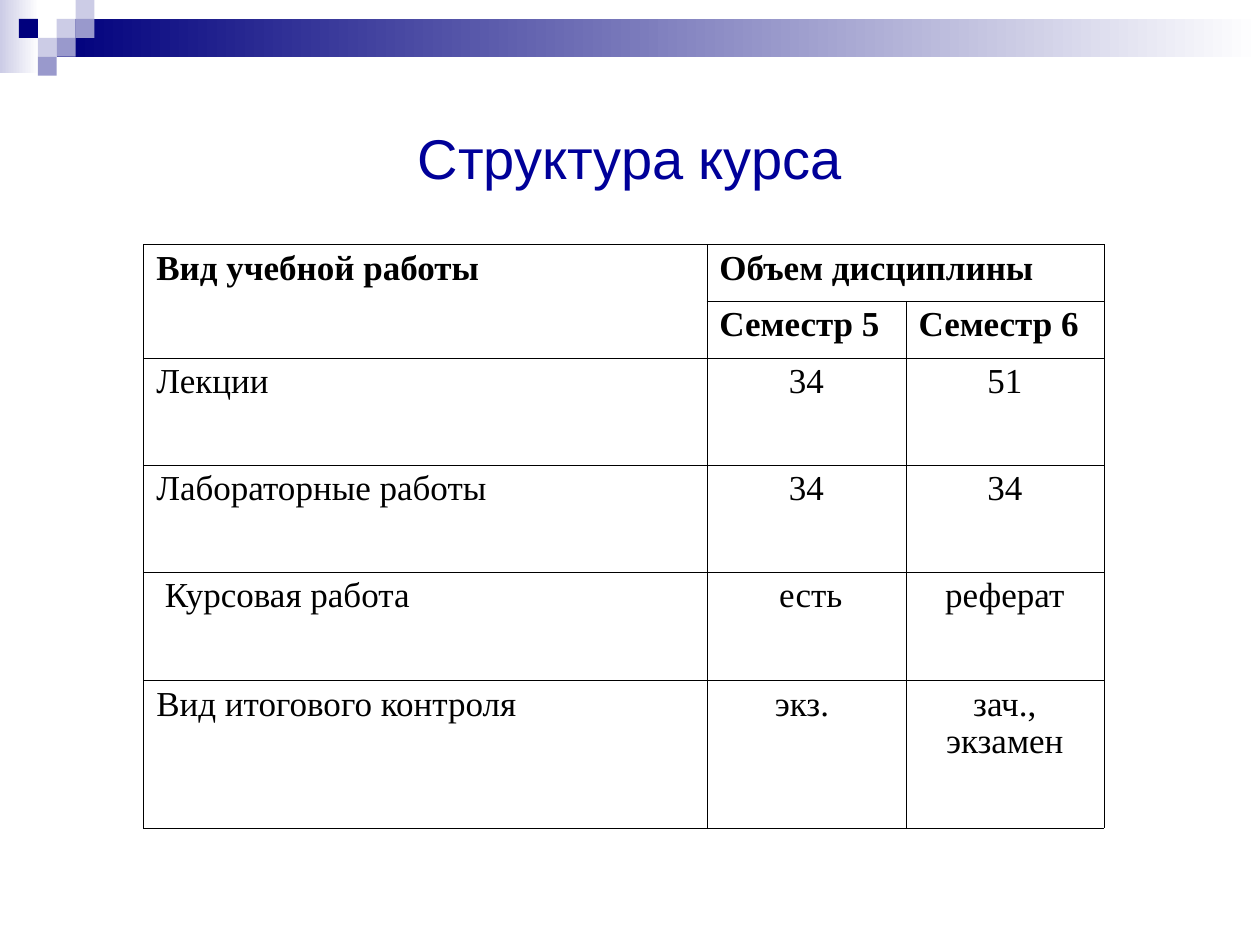
from lxml import etree
from pptx import Presentation
from pptx.dml.color import RGBColor
from pptx.enum import shapes, text
from pptx.oxml import ns
from pptx.util import Inches, Pt

HUES = {"navy": "00007D", "pale": "CCCCE6", "mid": "9999CC",
        "white": "FFFFFF", "title": "000099", "ink": "000000"}
TITLE = "Структура курса"
BANDS = [(0, 0, 0.31, 0.58, "pale"), (0.45, 0.15, 9.55, 0.3, "navy")]
SIDE = 0.15
TILES = [(3, 1, "pale"), (4, 0, "pale"), (4, 1, "mid"), (2, 2, "pale"),
         (1, 1, "navy"), (3, 2, "mid"), (2, 3, "mid")]
ROWS = [
    ("Вид учебной работы", "Объем дисциплины", ""),
    ("", "Семестр 5", "Семестр 6"),
    ("Лекции", "34", "51"),
    ("Лабораторные работы", "34", "34"),
    (" Курсовая работа", " есть", "реферат"),
    ("Вид итогового контроля", "экз. ", "зач., экзамен"),
]
WIDTHS = [4.47, 1.58, 1.57]
HEIGHTS = [0.45, 0.45, 0.85, 0.85, 0.86, 1.17]
HEAD = 2


def hue(name):
    return RGBColor.from_string(HUES[name])


def style(para, face, size, name, bold=False):
    for run in para.runs:
        font = run.font
        font.name, font.size, font.bold = face, Pt(size), bold
        font.color.rgb = hue(name)


def block(slide, left, top, wide, high):
    box = slide.shapes.add_shape(shapes.MSO_SHAPE.RECTANGLE, Inches(left),
                                 Inches(top), Inches(wide), Inches(high))
    box.shadow.inherit = False
    box.line.fill.background()
    return box.fill


def border(cell):
    props = cell._tc.get_or_add_tcPr()
    for side in ("lnL", "lnR", "lnT", "lnB"):
        line = etree.SubElement(props, ns.qn("a:" + side), w=str(Pt(0.23)))
        fill = etree.SubElement(line, ns.qn("a:solidFill"))
        etree.SubElement(fill, ns.qn("a:srgbClr"), val=HUES["ink"])


def decorate(slide):
    for *area, name in BANDS:
        fill = block(slide, *area)
        fill.gradient()
        fill.gradient_angle = 0
        for stop, tone in zip(fill.gradient_stops, (name, "white")):
            stop.color.rgb = hue(tone)
    for col, row, name in TILES:
        fill = block(slide, col * SIDE, row * SIDE, SIDE, SIDE)
        fill.solid()
        fill.fore_color.rgb = hue(name)


def add_title(slide):
    box = slide.shapes.add_textbox(Inches(0.5), Inches(0.5), Inches(9), Inches(1.5))
    frame = box.text_frame
    frame.word_wrap = True
    frame.vertical_anchor = text.MSO_ANCHOR.MIDDLE
    frame.text = TITLE
    para = frame.paragraphs[0]
    para.alignment = text.PP_ALIGN.CENTER
    style(para, "Arial", 32, "title")


def add_grid(slide):
    grid = slide.shapes.add_table(
        len(ROWS), len(WIDTHS), Inches(1.14), Inches(1.94),
        Inches(sum(WIDTHS)), Inches(sum(HEIGHTS))).table
    grid.first_row = grid.horz_banding = False
    for col, wide in zip(grid.columns, WIDTHS):
        col.width = Inches(wide)
    for row, high in zip(grid.rows, HEIGHTS):
        row.height = Inches(high)
    for r, row in enumerate(ROWS):
        for c, word in enumerate(row):
            cell = grid.cell(r, c)
            border(cell)
            cell.fill.background()
            cell.text = word
            para = cell.text_frame.paragraphs[0]
            para.line_spacing = 0.95
            if r >= HEAD and c:
                para.alignment = text.PP_ALIGN.CENTER
            style(para, "Times New Roman", 20, "ink", r < HEAD)
    grid.cell(0, 0).merge(grid.cell(1, 0))
    grid.cell(0, 1).merge(grid.cell(0, 2))


def main():
    deck = Presentation()
    deck.slide_width, deck.slide_height = Inches(10), Inches(7.5)
    slide = deck.slides.add_slide(deck.slide_layouts[6])
    decorate(slide)
    add_title(slide)
    add_grid(slide)
    deck.save("out.pptx")


if __name__ == "__main__":
    main()
